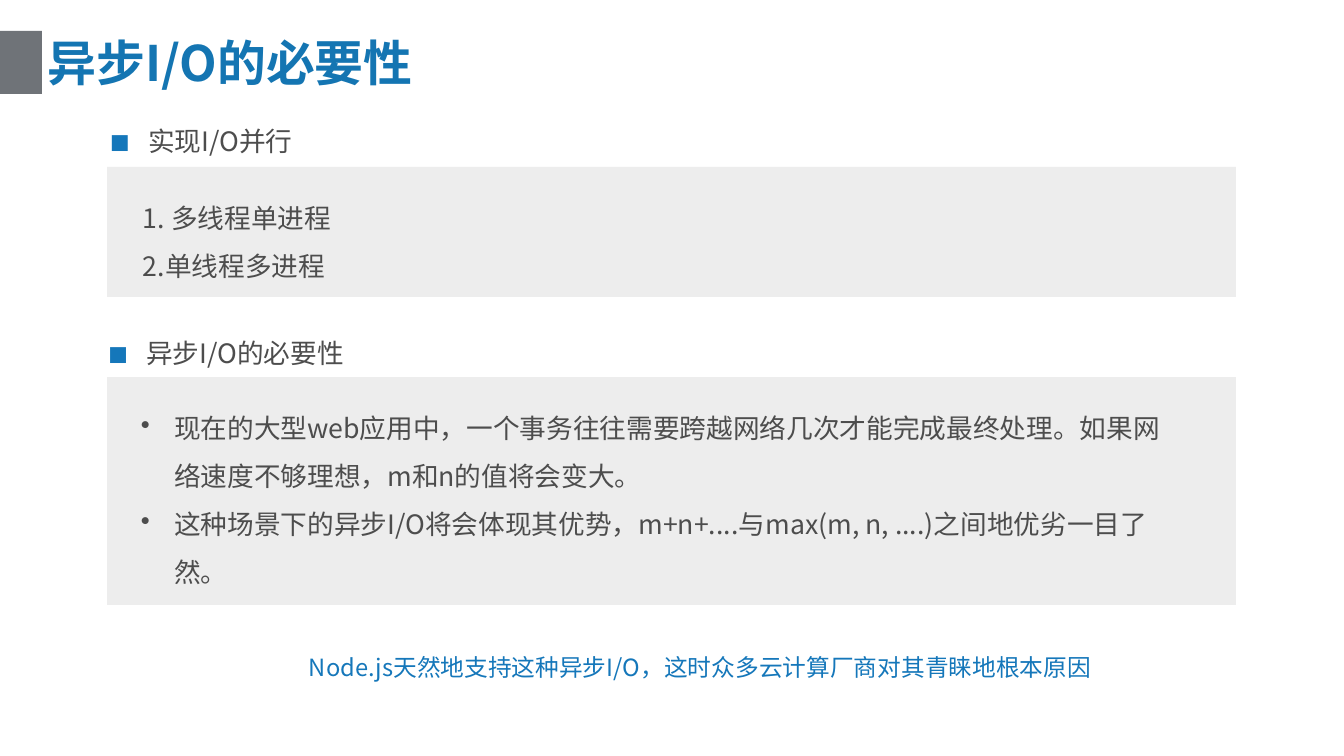
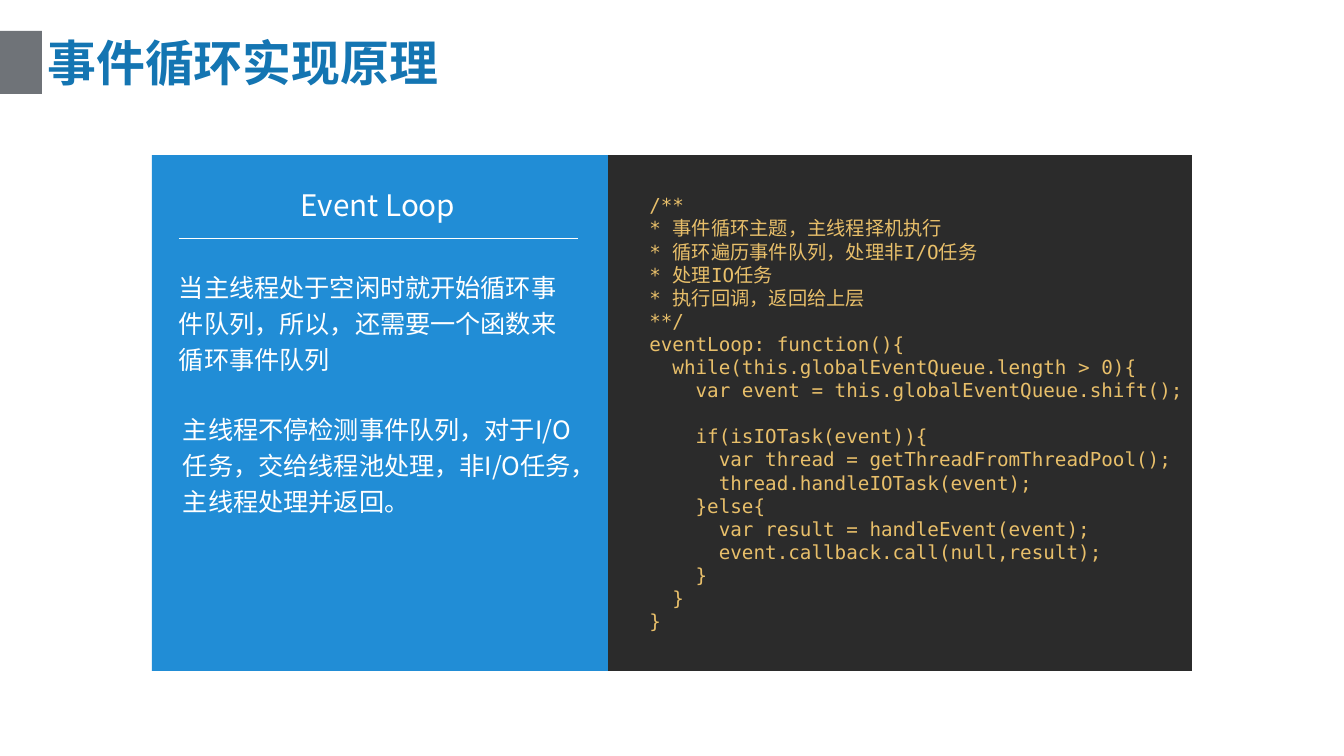
from lxml.etree import SubElement
from pptx import Presentation
from pptx.dml.color import RGBColor
from pptx.enum.shapes import MSO_CONNECTOR, MSO_SHAPE
from pptx.enum.text import MSO_ANCHOR, MSO_AUTO_SIZE, PP_ALIGN
from pptx.oxml.ns import qn
from pptx.util import Pt

PX = 17145
SANS = "Noto Sans CJK SC"
MONO = "DejaVu Sans Mono"
TITLE_BLUE = "1475B2"
ACCENT = "1577BA"
GREY = "6F7378"
PANEL = "EDEDED"
INK = "4D4D4D"
WHITE = "FFFFFF"
CARD_BLUE = "218DD6"
CODE_DARK = "2B2B2B"
CODE_GOLD = "E8BF6A"

EVENT_LOOP_CODE = (
    "/**",
    "* 事件循环主题，主线程择机执行",
    "* 循环遍历事件队列，处理非I/O任务",
    "* 处理IO任务",
    "* 执行回调，返回给上层",
    "**/",
    "eventLoop: function(){",
    "  while(this.globalEventQueue.length > 0){",
    "    var event = this.globalEventQueue.shift();",
    "    ",
    "    if(isIOTask(event)){",
    "      var thread = getThreadFromThreadPool();",
    "      thread.handleIOTask(event);",
    "    }else{",
    "      var result = handleEvent(event);",
    "      event.callback.call(null,result);",
    "    }",
    "  }",
    "}",
)


def rgb(value):
    return RGBColor.from_string(value)


def emu(*lengths):
    return [length * PX for length in lengths]


def add_bullet(paragraph, char, indent, color=None, font=None):
    properties = paragraph._p.get_or_add_pPr()
    properties.set("marL", str(indent * PX))
    properties.set("indent", str(-indent * PX))
    if color:
        holder = SubElement(properties, qn("a:buClr"))
        SubElement(holder, qn("a:srgbClr"), val=color)
    if font:
        SubElement(properties, qn("a:buFont"), typeface=font)
    SubElement(properties, qn("a:buChar"), char=char)


def write(frame, lines, size, color, font=SANS, spacing=1.0,
          align=PP_ALIGN.LEFT, bullet=None, margin=0, bold=False):
    for index, line in enumerate(lines):
        paragraph = frame.paragraphs[0] if index == 0 else frame.add_paragraph()
        if bullet:
            add_bullet(paragraph, **bullet)
        elif margin:
            paragraph._p.get_or_add_pPr().set("marL", str(margin * PX))
        paragraph.alignment = align
        paragraph.line_spacing = spacing
        run = paragraph.add_run()
        run.text = line
        run.font.size = Pt(size)
        run.font.bold = bold
        run.font.color.rgb = rgb(color)
        run.font.name = font
        SubElement(run._r.get_or_add_rPr(), qn("a:ea"), typeface=SANS)


def add_text(slide, box, lines, size, color, insets=(5, 3),
             anchor=MSO_ANCHOR.TOP, **style):
    frame = slide.shapes.add_textbox(*emu(*box)).text_frame
    frame.word_wrap = True
    frame.auto_size = MSO_AUTO_SIZE.SHAPE_TO_FIT_TEXT
    frame.vertical_anchor = anchor
    side, end = emu(*insets)
    frame.margin_left = frame.margin_right = side
    frame.margin_top = frame.margin_bottom = end
    write(frame, lines, size, color, **style)


def add_block(slide, box, color):
    block = slide.shapes.add_shape(MSO_SHAPE.RECTANGLE, *emu(*box))
    block.shadow.inherit = False
    block.fill.solid()
    block.fill.fore_color.rgb = rgb(color)
    block.line.fill.background()
    return block


def style_layout(layout, slide):
    for placeholder in list(layout.placeholders):
        if placeholder.placeholder_format.idx != 0:
            layout.shapes.element.remove(placeholder.element)
    title = layout.placeholders[0]
    title.left, title.top, title.width, title.height = emu(42, 30, 1260, 64)
    bar = add_block(slide, (0, 31, 42, 63), GREY)
    layout.shapes.element.insert(2, bar.element)


def add_title(slide, text):
    frame = slide.shapes.title.text_frame
    frame.auto_size = MSO_AUTO_SIZE.NONE
    frame.vertical_anchor = MSO_ANCHOR.MIDDLE
    write(frame, [text], 66, TITLE_BLUE, bold=True)


def add_topic(slide, box, heading, heading_rise, lines, inset, bullet=None):
    left, top, width, height = box
    text_width = width - 96
    add_block(slide, box, PANEL)
    add_text(slide, (left, top - heading_rise, text_width, 49), [heading], 36, INK,
             insets=(inset, 3), spacing=1.5,
             bullet={"char": "■", "indent": 36, "color": ACCENT, "font": MONO})
    add_text(slide, (left + 31, top + 16, text_width, height - 29), lines, 36, INK,
             insets=(inset, 3), spacing=1.5, bullet=bullet)


def add_explanation(slide, box, heading, passages):
    left, top, width, height = box
    add_block(slide, box, CARD_BLUE)
    add_text(slide, (left + 35, top + 28, 382, 44), [heading], 40, WHITE,
             insets=(4, 4), anchor=MSO_ANCHOR.MIDDLE, align=PP_ALIGN.CENTER)
    rule = slide.shapes.add_connector(
        MSO_CONNECTOR.STRAIGHT,
        *emu(left + 27, top + 83, left + width - 30, top + 83))
    rule.line.color.rgb = rgb(WHITE)
    rule.line.width = Pt(1)
    SubElement(rule._element.spPr, qn("a:effectLst"))
    for index, passage in enumerate(passages):
        add_text(slide, (left + 23 + 4 * index, top + 108 + 142 * index, 406, 115),
                 [passage], 34, WHITE, insets=(4, 4),
                 anchor=MSO_ANCHOR.MIDDLE, spacing=1.2)


def add_code(slide, box, lines):
    frame = add_block(slide, box, CODE_DARK).text_frame
    frame.word_wrap = True
    frame.vertical_anchor = MSO_ANCHOR.MIDDLE
    write(frame, lines, 26, CODE_GOLD, font=MONO, margin=36)


def build_necessity(slide):
    add_title(slide, "异步I/O的必要性")
    add_topic(slide, (107, 167, 1129, 130), "实现I/O并行", 61,
              ["1. 多线程单进程", "2.单线程多进程"], 5)
    add_topic(slide, (107, 377, 1129, 228), "异步I/O的必要性", 59,
              ["现在的大型web应用中，一个事务往往需要跨越网络几次才能完成最终处理。"
               "如果网络速度不够理想，m和n的值将会变大。",
               "这种场景下的异步I/O将会体现其优势，m+n+....与max(m, n, ....)"
               "之间地优劣一目了然。"],
              3, bullet={"char": "•", "indent": 33})
    add_text(slide, (304, 636, 806, 49),
             ["Node.js天然地支持这种异步I/O，这时众多云计算厂商对其青睐地根本原因"],
             32, ACCENT, spacing=1.5)


def build_event_loop(slide):
    add_title(slide, "事件循环实现原理")
    left, top, height = 152, 155, 516
    explanation_width, code_width = 456, 584
    add_code(slide, (left + explanation_width, top, code_width, height),
             EVENT_LOOP_CODE)
    add_explanation(slide, (left, top, explanation_width, height), "Event Loop", [
        "当主线程处于空闲时就开始循环事件队列，所以，还需要一个函数来循环事件队列",
        "主线程不停检测事件队列，对于I/O任务，交给线程池处理，非I/O任务，主线程处理并返回。",
    ])


def main():
    deck = Presentation()
    deck.slide_width, deck.slide_height = emu(1344, 756)
    layout = deck.slide_layouts.get_by_name("Title Only")
    necessity, event_loop = [deck.slides.add_slide(layout) for _ in range(2)]
    style_layout(layout, necessity)
    build_necessity(necessity)
    build_event_loop(event_loop)
    deck.save("out.pptx")


if __name__ == "__main__":
    main()
